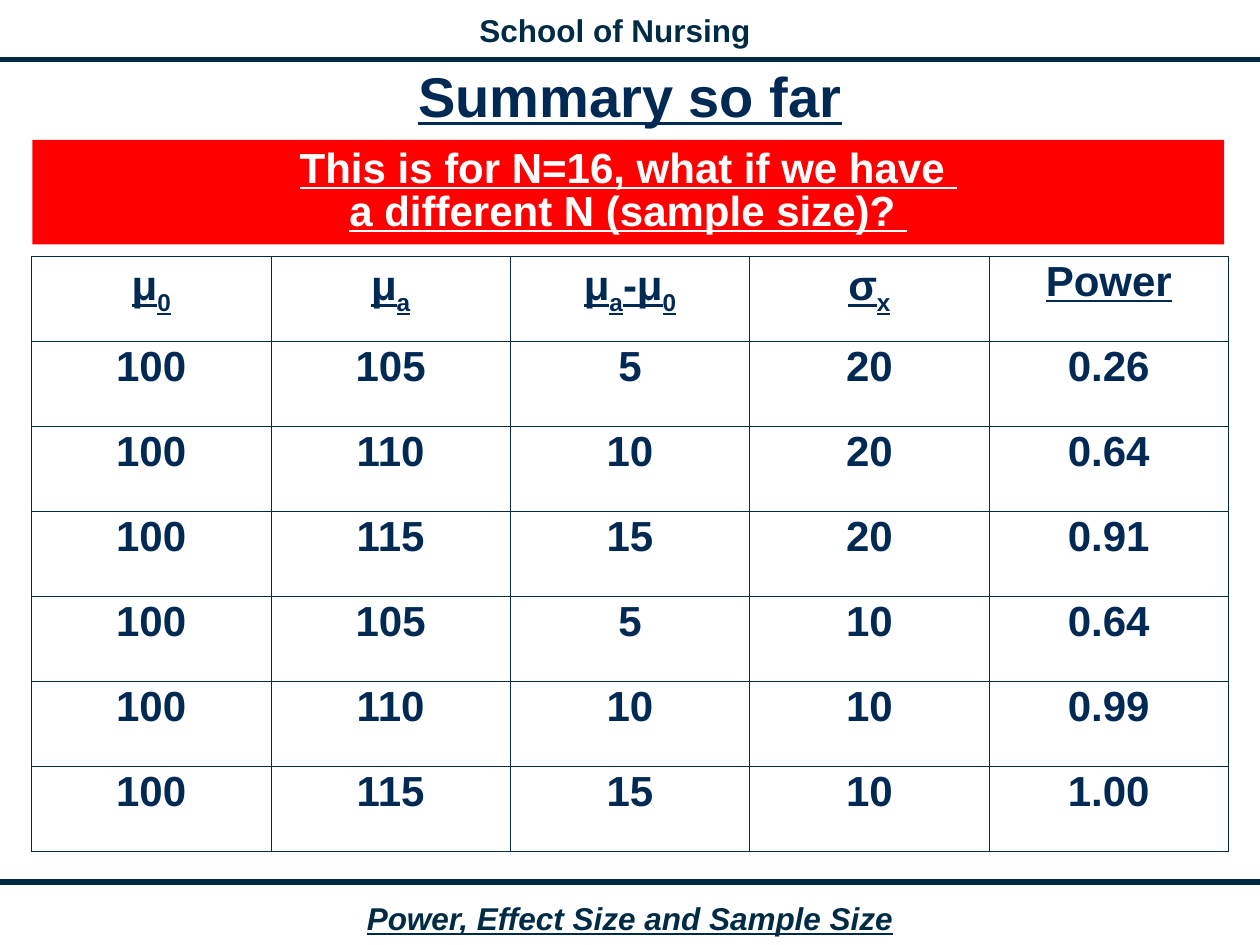
from pptx import Presentation
from pptx.dml.color import RGBColor
from pptx.enum.shapes import MSO_CONNECTOR, MSO_SHAPE
from pptx.enum.text import MSO_ANCHOR, MSO_AUTO_SIZE, PP_ALIGN
from pptx.oxml.ns import qn
from pptx.util import Pt
from lxml import etree

STRAIGHT = MSO_CONNECTOR.STRAIGHT
RECTANGLE = MSO_SHAPE.RECTANGLE
MIDDLE = MSO_ANCHOR.MIDDLE
CENTER = PP_ALIGN.CENTER
GROW = MSO_AUTO_SIZE.SHAPE_TO_FIT_TEXT
FIXED = MSO_AUTO_SIZE.NONE

INK = RGBColor(0x00, 0x2B, 0x45)
NAVY = RGBColor(0x00, 0x2A, 0x54)
RED = RGBColor(0xFF, 0x00, 0x00)
WHITE = RGBColor(0xFF, 0xFF, 0xFF)
FONT = "Arial"

SCHOOL = "School of Nursing"
TOPIC = "Power, Effect Size and Sample Size"
TITLE = "Summary so far"
QUESTION = "This is for N=16, what if we have \na different N (sample size)? "
# An underscore marks the next letter as a subscript.
HEADER = ["μ_0", "μ_a", "μ_a-μ_0", "σ_x", "Power"]
RESULTS = [
    ["100", "105", "5", "20", "0.26"],
    ["100", "110", "10", "20", "0.64"],
    ["100", "115", "15", "20", "0.91"],
    ["100", "105", "5", "10", "0.64"],
    ["100", "110", "10", "10", "0.99"],
    ["100", "115", "15", "10", "1.00"],
]

SLIDE_W, SLIDE_H = 720, 540
RULES_Y = [34, 504]
TABLE_BOX = (18, 146.6, 684, 340)
INNER, OUTER = 0.45, 1.08


def split_subscripts(text):
    """Return (text, is_subscript) pairs."""
    first, *rest = text.split("_")
    pairs = [(first, False)]
    for part in rest:
        pairs += [(part[0], True), (part[1:], False)]
    return [pair for pair in pairs if pair[0]]


def write(tf, text, size=24, color=NAVY, underline=False, italic=False,
          spacing=None, after=None):
    p = tf.paragraphs[0]
    p.alignment = CENTER
    if spacing:
        p.line_spacing = spacing
    if after:
        p.space_after = Pt(after)
    for i, line in enumerate(text.split("\n")):
        if i:
            p.add_line_break()
        for part, is_sub in split_subscripts(line):
            r = p.add_run()
            r.text = part
            f = r.font
            f.name, f.size, f.bold = FONT, Pt(size), True
            f.italic, f.underline = italic, underline
            f.color.rgb = color
            if is_sub:
                r._r.get_or_add_rPr().set("baseline", "-25000")


def add_label(s, box, text, wrap=False, **fmt):
    tf = s.shapes.add_textbox(*map(Pt, box)).text_frame
    tf.word_wrap = wrap
    tf.auto_size = FIXED if wrap else GROW
    write(tf, text, **fmt)
    return tf


def center_in_frame(tf):
    tf.vertical_anchor = MIDDLE
    tf.margin_left = tf.margin_right = tf.margin_top = tf.margin_bottom = Pt(3.6)


def add_rule(s, y):
    line = s.shapes.add_connector(STRAIGHT, 0, Pt(y), Pt(SLIDE_W), Pt(y))
    line.line.color.rgb = INK
    line.line.width = Pt(3)
    etree.SubElement(line._element.spPr, qn("a:effectLst"))


def set_borders(cell, widths):
    """Set the left, right, top and bottom borders, in that order."""
    tcPr = cell._tc.get_or_add_tcPr()
    for i, (side, width) in enumerate(zip("LRTB", widths)):
        ln = etree.Element(qn(f"a:ln{side}"), w=str(Pt(width)))
        fill = etree.SubElement(ln, qn("a:solidFill"))
        etree.SubElement(fill, qn("a:srgbClr"), val=str(INK))
        tcPr.insert(i, ln)


def add_results(s):
    rows = [HEADER] + RESULTS
    n_rows, n_cols = len(rows), len(HEADER)
    table = s.shapes.add_table(n_rows, n_cols, *map(Pt, TABLE_BOX)).table
    table.first_row = table.horz_banding = False
    for column in table.columns:
        column.width = Pt(TABLE_BOX[2] / n_cols)
    for i, values in enumerate(rows):
        table.rows[i].height = Pt(TABLE_BOX[3] / n_rows)
        for j, value in enumerate(values):
            cell = table.cell(i, j)
            cell.fill.background()
            on_edge = [j == 0, j == n_cols - 1, i == 0, i == n_rows - 1]
            set_borders(cell, [OUTER if edge else INNER for edge in on_edge])
            write(cell.text_frame, value, underline=i == 0, spacing=0.9, after=10.5)


def add_banner(s):
    sp = s.shapes.add_shape(RECTANGLE, Pt(18.5), Pt(80), Pt(681), Pt(59.75))
    sp.shadow.inherit = False
    sp.fill.solid()
    sp.fill.fore_color.rgb = RED
    sp.line.fill.background()
    sp.text_frame.word_wrap = True
    center_in_frame(sp.text_frame)
    write(sp.text_frame, QUESTION, color=WHITE, underline=True, spacing=0.85)


def main():
    prs = Presentation()
    prs.slide_width, prs.slide_height = Pt(SLIDE_W), Pt(SLIDE_H)
    s = prs.slides.add_slide(prs.slide_layouts[6])
    for y in RULES_Y:
        add_rule(s, y)
    add_label(s, (265.5, 3, 172, 29), SCHOOL, size=18, color=INK)
    add_label(s, (201.5, 510, 317, 29), TOPIC, size=18, color=INK,
              underline=True, italic=True)
    center_in_frame(add_label(s, (18, 36.5, 684, 42), TITLE, wrap=True, size=32,
                              underline=True, spacing=0.85))
    add_results(s)
    add_banner(s)
    prs.save("out.pptx")


if __name__ == "__main__":
    main()
